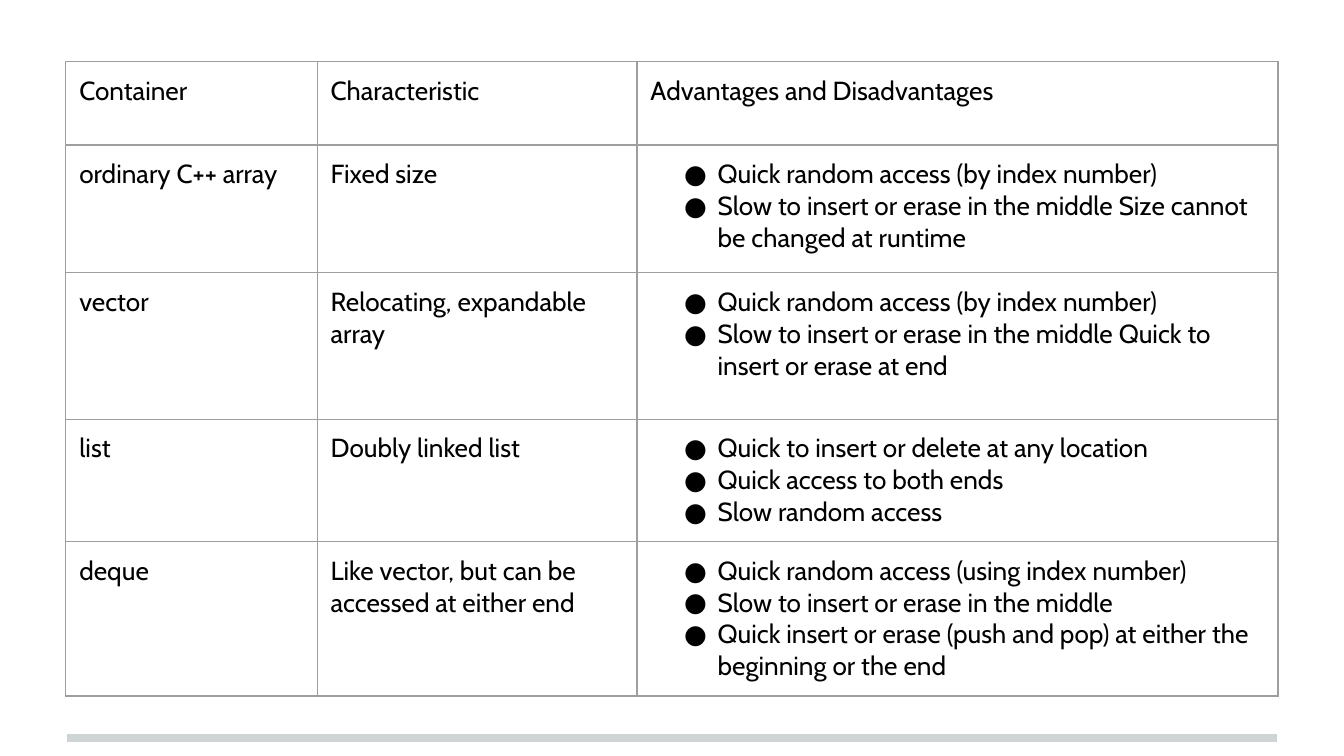
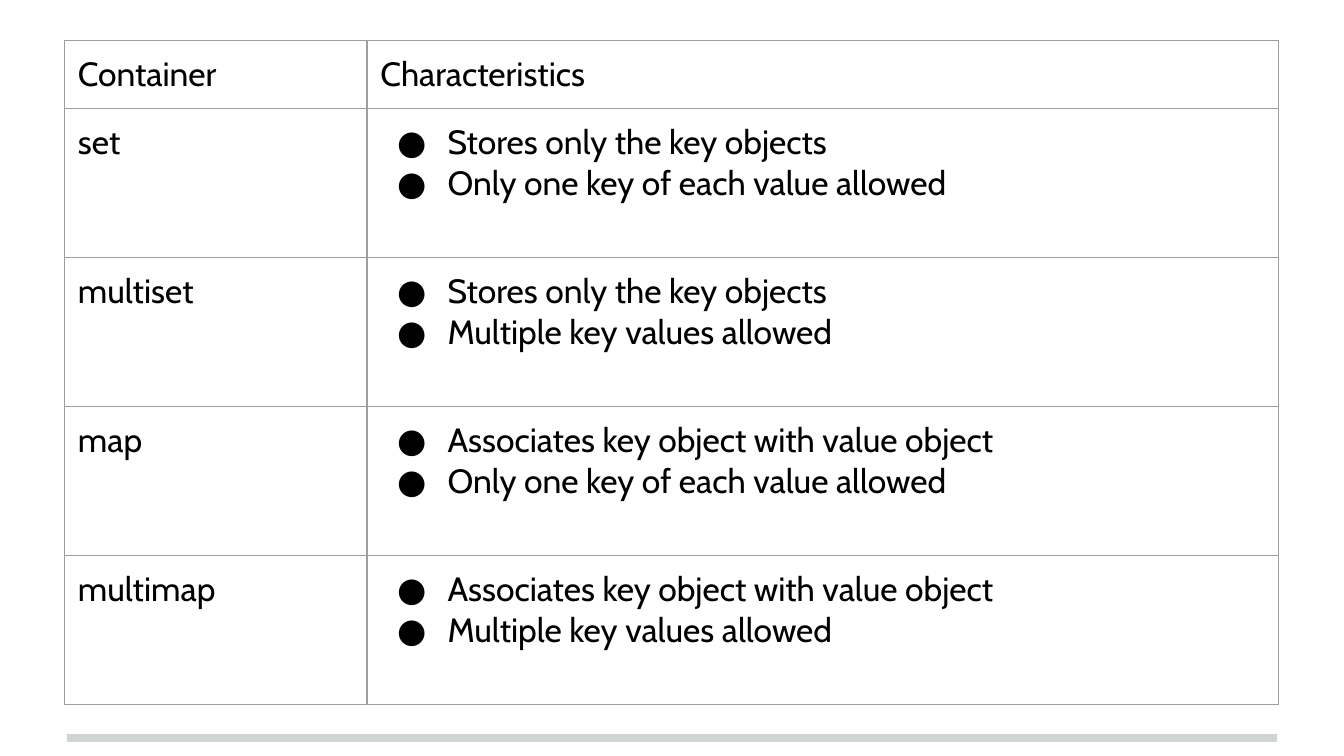
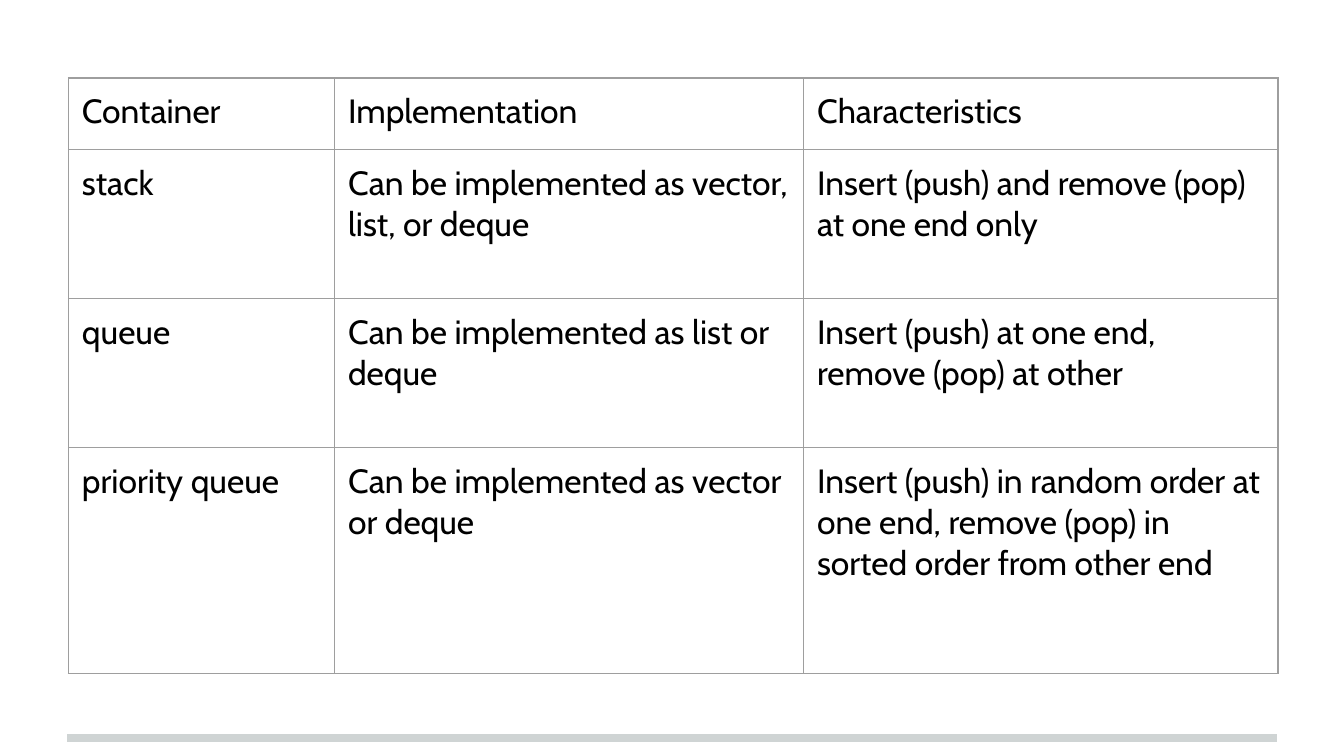
"""Build three slides of tables that compare C++ containers."""

from dataclasses import dataclass

from lxml import etree
from pptx import Presentation
from pptx.dml.color import RGBColor
from pptx.enum.shapes import MSO_CONNECTOR
from pptx.enum.text import MSO_ANCHOR
from pptx.oxml.ns import qn
from pptx.util import Inches, Pt

STRAIGHT = MSO_CONNECTOR.STRAIGHT
TOP = MSO_ANCHOR.TOP

COLORS = {"text": "000000", "grid": "9E9E9E", "footer": "CFD4D4"}
FONT = "Cabin"
UNIT = Inches(0.1)
GRID_COLUMNS, GRID_ROWS = 100, 56.25
FOOTER_MARGIN, FOOTER_ROW = 5, 54.9
BULLET_MARGIN = 5
BORDER_SIDES = ("a:lnL", "a:lnR", "a:lnT", "a:lnB")
PLAIN_TABLE = {"first_row": False, "horz_banding": False}
CELL_FORMAT = {
    "margin_left": UNIT,
    "margin_right": UNIT,
    "margin_top": UNIT,
    "margin_bottom": UNIT,
    "vertical_anchor": TOP,
}

Entry = str | tuple[str, ...]


@dataclass(frozen=True)
class ContainerTable:
    left: float
    top: float
    columns: tuple[float, ...]
    rows: tuple[float, ...]
    font_size: int
    bullet_hang: float
    entries: tuple[tuple[Entry, ...], ...]


SEQUENCE_CONTAINERS = ContainerTable(
    left=4.9,
    top=4.6,
    columns=(18.7, 23.8, 47.7),
    rows=(6.2, 9.5, 10.9, 9.1, 11.5),
    font_size=14,
    bullet_hang=2.5,
    entries=(
        ("Container", "Characteristic", "Advantages and Disadvantages"),
        ("ordinary C++ array", "Fixed size", (
            "Quick random access (by index number)",
            "Slow to insert or erase in the middle Size cannot be changed at runtime",
        )),
        ("vector", "Relocating, expandable array", (
            "Quick random access (by index number)",
            "Slow to insert or erase in the middle Quick to insert or erase at end",
        )),
        ("list", "Doubly linked list", (
            "Quick to insert or delete at any location",
            "Quick access to both ends",
            "Slow random access",
        )),
        ("deque", "Like vector, but can be accessed at either end", (
            "Quick random access (using index number)",
            "Slow to insert or erase in the middle",
            "Quick insert or erase (push and pop) at either the beginning or the end",
        )),
    ),
)

KEYS_ONLY = "Stores only the key objects"
KEY_TO_VALUE = "Associates key object with value object"
UNIQUE_KEYS = "Only one key of each value allowed"
REPEATED_KEYS = "Multiple key values allowed"

ASSOCIATIVE_CONTAINERS = ContainerTable(
    left=4.8,
    top=3,
    columns=(22.5, 67.8),
    rows=(5, *[11.1] * 4),
    font_size=18,
    bullet_hang=3.75,
    entries=(
        ("Container", "Characteristics"),
        ("set", (KEYS_ONLY, UNIQUE_KEYS)),
        ("multiset", (KEYS_ONLY, REPEATED_KEYS)),
        ("map", (KEY_TO_VALUE, UNIQUE_KEYS)),
        ("multimap", (KEY_TO_VALUE, REPEATED_KEYS)),
    ),
)

CONTAINER_ADAPTERS = ContainerTable(
    left=5.1,
    top=5.8,
    columns=(19.8, 34.9, 35.3),
    rows=(5.3, 11.1, 11.1, 16.8),
    font_size=18,
    bullet_hang=3.75,
    entries=(
        ("Container", "Implementation", "Characteristics"),
        ("stack", "Can be implemented as vector, list, or deque",
         "Insert (push) and remove (pop) at one end only"),
        ("queue", "Can be implemented as list or deque",
         "Insert (push) at one end, remove (pop) at other"),
        ("priority queue", "Can be implemented as vector or deque",
         "Insert (push) in random order at one end, remove (pop) in sorted order from other end"),
    ),
)


def span(units: float) -> int:
    return round(units * UNIT)


def set_all(target, values: dict) -> None:
    for attribute, value in values.items():
        setattr(target, attribute, value)


def add_color(parent, tag: str, color: str) -> None:
    holder = etree.SubElement(parent, qn(tag))
    etree.SubElement(holder, qn("a:srgbClr"), val=COLORS[color])


def draw_footer_rule(slide) -> None:
    y = span(FOOTER_ROW)
    rule = slide.shapes.add_connector(
        STRAIGHT, span(FOOTER_MARGIN), y, span(GRID_COLUMNS - FOOTER_MARGIN), y
    )
    rule.line.color.rgb = RGBColor.from_string(COLORS["footer"])
    rule.line.width = Pt(4)
    etree.SubElement(rule._element.spPr, qn("a:effectLst"))


def add_bullet(paragraph, hang: float) -> None:
    properties = paragraph._p.get_or_add_pPr()
    properties.set("marL", str(span(BULLET_MARGIN)))
    properties.set("indent", str(-span(hang)))
    add_color(properties, "a:buClr", "text")
    etree.SubElement(properties, qn("a:buFont"), typeface=FONT)
    etree.SubElement(properties, qn("a:buChar"), char="●")


def format_cell(cell) -> None:
    set_all(cell, CELL_FORMAT)
    properties = cell._tc.get_or_add_tcPr()
    for side in BORDER_SIDES:
        border = etree.SubElement(properties, qn(side), w=str(Pt(0.75)))
        add_color(border, "a:solidFill", "grid")
    cell.fill.background()


def write_entry(cell, entry: Entry, layout: ContainerTable) -> None:
    bulleted = isinstance(entry, tuple)
    cell.text = "\n".join(entry) if bulleted else entry
    for paragraph in cell.text_frame.paragraphs:
        if bulleted:
            add_bullet(paragraph, layout.bullet_hang)
        for run in paragraph.runs:
            set_all(run.font, {"name": FONT, "size": Pt(layout.font_size)})
            run.font.color.rgb = RGBColor.from_string(COLORS["text"])


def draw_table(slide, layout: ContainerTable) -> None:
    table = slide.shapes.add_table(
        len(layout.rows), len(layout.columns),
        span(layout.left), span(layout.top),
        span(sum(layout.columns)), span(sum(layout.rows)),
    ).table
    set_all(table, PLAIN_TABLE)
    for column, width in zip(table.columns, layout.columns):
        column.width = span(width)
    for row, height, entries in zip(table.rows, layout.rows, layout.entries):
        row.height = span(height)
        for cell, entry in zip(row.cells, entries):
            format_cell(cell)
            write_entry(cell, entry, layout)


def main() -> None:
    deck = Presentation()
    set_all(deck, {"slide_width": span(GRID_COLUMNS), "slide_height": span(GRID_ROWS)})
    blank = deck.slide_layouts[6]
    for layout in (SEQUENCE_CONTAINERS, ASSOCIATIVE_CONTAINERS, CONTAINER_ADAPTERS):
        slide = deck.slides.add_slide(blank)
        draw_footer_rule(slide)
        draw_table(slide, layout)
    deck.save("out.pptx")


if __name__ == "__main__":
    main()
